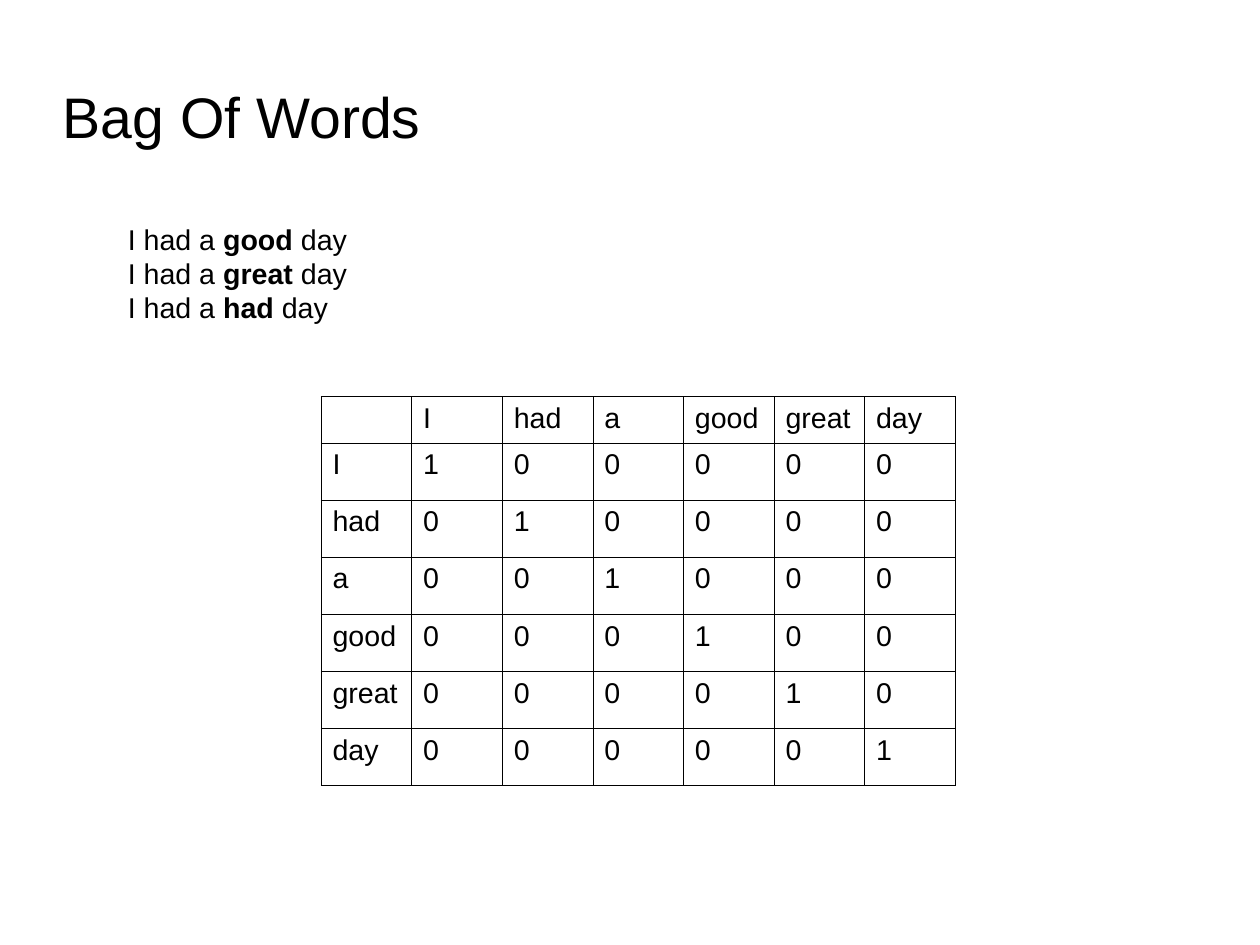
import dataclasses

import lxml.etree
import pptx
import pptx.dml.color
import pptx.enum.text
import pptx.oxml.ns
import pptx.util

Inches = pptx.util.Inches
Pt = pptx.util.Pt
FONT = "Arial"
BLACK = "000000"
SIZE = 18
WIDTH = 28 / 2.54
HEIGHT = 21 / 2.54
WORDS = ["I", "had", "a", "good", "great", "day"]


@dataclasses.dataclass
class Line:
    start: str
    bold: str
    end: str


LINES = [Line("I had a ", word, " day") for word in ("good", "great", "had")]


def color(code: str) -> pptx.dml.color.RGBColor:
    return pptx.dml.color.RGBColor.from_string(code)


def style(font, size: float = SIZE, bold: bool = False) -> None:
    font.name = FONT
    font.size = Pt(size)
    font.bold = bold
    font.color.rgb = color(BLACK)


def border(cell, width: float = 0.57) -> None:
    props = cell._tc.get_or_add_tcPr()
    qn = pptx.oxml.ns.qn
    for side in ("a:lnL", "a:lnR", "a:lnT", "a:lnB"):
        line = lxml.etree.SubElement(props, qn(side), w=str(int(Pt(width))))
        fill = lxml.etree.SubElement(line, qn("a:solidFill"))
        lxml.etree.SubElement(fill, qn("a:srgbClr"), val=BLACK)


def add_title(slide, text: str) -> None:
    title = slide.shapes.title
    title.left, title.top = Inches(0.55), Inches(0.62)
    title.width, title.height = Inches(7.87), Inches(0.79)
    frame = title.text_frame
    frame.text = text
    frame.margin_left = frame.margin_right = 0
    frame.margin_top = frame.margin_bottom = 0
    frame.vertical_anchor = pptx.enum.text.MSO_ANCHOR.MIDDLE
    frame.paragraphs[0].alignment = pptx.enum.text.PP_ALIGN.LEFT
    style(frame.paragraphs[0].runs[0].font, 36)


def add_grid(slide, words: list[str]) -> None:
    count = len(words) + 1
    table = slide.shapes.add_table(
        count, count, Inches(2.81), Inches(3.47), Inches(5.55), Inches(3.39)
    ).table
    table.first_row = False
    table.horz_banding = False
    for col in table.columns:
        col.width = Inches(5.55 / count)
    for index, row in enumerate(table.rows):
        row.height = Inches(0.5 if index else 0.39)
    rows = [[""] + words]
    for word in words:
        rows.append([word] + [str(int(word == other)) for other in words])
    for row, texts in zip(table.rows, rows):
        for cell, text in zip(row.cells, texts):
            cell.text = text
            border(cell)
            cell.fill.background()
            for run in cell.text_frame.paragraphs[0].runs:
                style(run.font)


def add_lines(slide, lines: list[Line]) -> None:
    box = slide.shapes.add_textbox(Inches(1.02), Inches(1.89), Inches(7.17), Inches(1.1))
    frame = box.text_frame
    frame.word_wrap = True
    for index, line in enumerate(lines):
        para = frame.add_paragraph() if index else frame.paragraphs[0]
        for text in (line.start, line.bold, line.end):
            run = para.add_run()
            run.text = text
            style(run.font, bold=text == line.bold)


def main() -> None:
    deck = pptx.Presentation()
    deck.slide_width = Inches(WIDTH)
    deck.slide_height = Inches(HEIGHT)
    deck.element.sldSz.attrib.pop("type", None)
    slide = deck.slides.add_slide(deck.slide_layouts[5])
    add_title(slide, "Bag Of Words")
    add_grid(slide, WORDS)
    add_lines(slide, LINES)
    deck.save("out.pptx")


if __name__ == "__main__":
    main()
